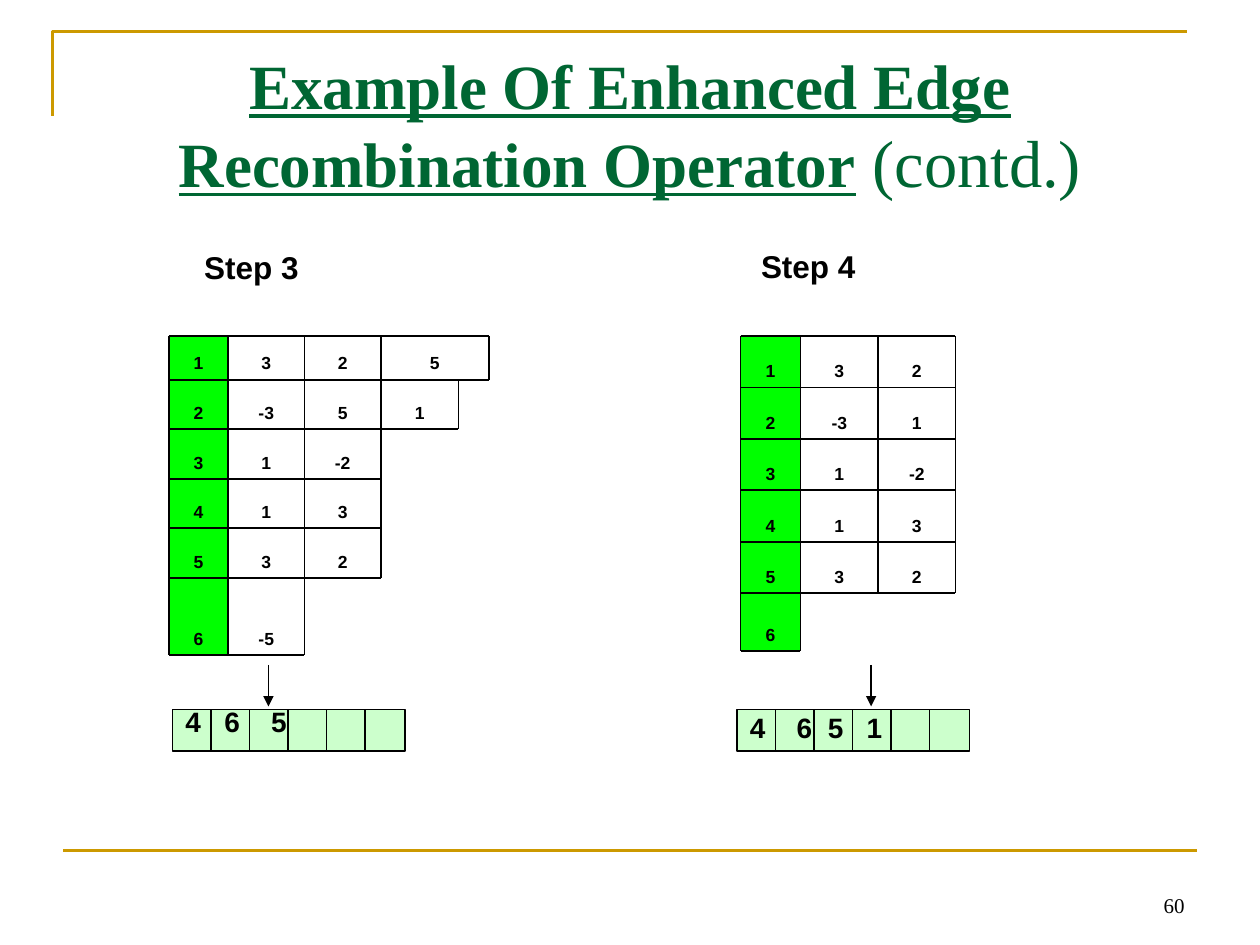
"""Build the slide that shows steps 3 and 4 of enhanced edge recombination."""
from itertools import accumulate

from lxml.etree import SubElement
from pptx import Presentation
from pptx.dml.color import RGBColor
from pptx.enum.shapes import MSO_CONNECTOR, MSO_SHAPE
from pptx.enum.text import MSO_ANCHOR, MSO_AUTO_SIZE, PP_ALIGN
from pptx.oxml.ns import qn
from pptx.util import Pt

COLORS = {"ink": "000000", "title": "006633", "frame": "CC9900",
          "key": "00FF00", "tile": "CCFFCC"}
STEPS = [
    {"label": "Step 3", "label_at": (77.8, 138.2),
     "edges": [96.5, 130.2, 174, 217.6, 262], "first_right": 279.4,
     "heights": [25] + [28.3] * 4 + [44],
     "rows": [["1", "3", "2", "5"], ["2", "-3", "5", "1"], ["3", "1", "-2"],
              ["4", "1", "3"], ["5", "3", "2"], ["6", "-5"]],
     "arrow_x": 153.4, "tiles_x": 98.6,
     "tour": "4\t6\t5", "tour_at": (94.3, 398.9), "tabs": [22.25, 48.95]},
    {"label": "Step 4", "label_at": (396, 137.5),
     "edges": [423.2, 457.4, 501.7, 546], "first_right": 546,
     "heights": [29.4] * 5 + [33],
     "rows": [["1", "3", "2"], ["2", "-3", "1"], ["3", "1", "-2"],
              ["4", "1", "3"], ["5", "3", "2"], ["6"]],
     "arrow_x": 497.8, "tiles_x": 421.2,
     "tour": "4\t6\t5\t1", "tour_at": (416.9, 402.5),
     "tabs": [26.7, 44.5, 66.75]},
]
TABLE_TOP = 192
TILE_COUNT, TILE_PITCH, TILE_WIDTH = 6, 22, 22.8


class SlideBuilder:
    """Hold the style and the current slide."""

    def __init__(self, page):
        """Keep the page to draw on."""
        self.page = page

    def color(self, name):
        """Return a named colour."""
        return RGBColor.from_string(COLORS[name])

    def style(self, span, size, font="Arial", color="ink", bold=True):
        """Format one run."""
        span.font.name, span.font.size, span.font.bold = font, Pt(size), bold
        span.font.color.rgb = self.color(color)

    def title(self, parts):
        """Fill the title from (text, size, emphasis) parts."""
        box = self.page.shapes.title
        box.left, box.top, box.width, box.height = Pt(36), Pt(21.6), Pt(648), Pt(90)
        frame = box.text_frame
        frame.auto_size = MSO_AUTO_SIZE.NONE
        frame.vertical_anchor = MSO_ANCHOR.TOP
        frame.margin_top = Pt(3)
        para = frame.paragraphs[0]
        para.alignment, para.line_spacing = PP_ALIGN.CENTER, Pt(45)
        for text, size, emphasis in parts:
            span = para.add_run()
            span.text = text
            self.style(span, size, "Times New Roman", "title", emphasis)
            span.font.underline = emphasis

    def text(self, words, left, top, width, height, size,
             align=PP_ALIGN.CENTER, anchor=MSO_ANCHOR.TOP, **look):
        """Add a text box and return it."""
        box = self.page.shapes.add_textbox(Pt(left), Pt(top), Pt(width), Pt(height))
        self.fill_text(box, words, size, align, anchor, **look)
        return box

    def fill_text(self, box, words, size, align, anchor, **look):
        """Put one formatted paragraph into a shape."""
        frame = box.text_frame
        frame.word_wrap, frame.vertical_anchor = True, anchor
        para = frame.paragraphs[0]
        para.text, para.alignment = words, align
        for span in para.runs:
            self.style(span, size, **look)

    def rectangle(self, left, top, width, height, fill, outlined=False):
        """Add a filled rectangle and return it."""
        box = self.page.shapes.add_shape(
            MSO_SHAPE.RECTANGLE, Pt(left), Pt(top), Pt(width), Pt(height))
        box.shadow.inherit = False
        box.fill.solid()
        box.fill.fore_color.rgb = self.color(fill)
        if outlined:
            box.line.color.rgb, box.line.width = self.color("ink"), Pt(1)
        else:
            box.line.fill.background()
        return box

    def line(self, x1, y1, x2, y2, color="ink", width=1, arrow=False):
        """Add a straight line, with an arrowhead at its end on request."""
        rule = self.page.shapes.add_connector(
            MSO_CONNECTOR.STRAIGHT, Pt(x1), Pt(y1), Pt(x2), Pt(y2))
        rule.line.color.rgb, rule.line.width = self.color(color), Pt(width)
        properties = rule._element.spPr
        if arrow:
            SubElement(properties.find(qn("a:ln")), qn("a:tailEnd"), type="triangle")
        SubElement(properties, qn("a:effectLst"))

    def corner(self, points):
        """Add the open frame corner."""
        start, *rest = [(Pt(x), Pt(y)) for x, y in points]
        pen = self.page.shapes.build_freeform(*start)
        pen.add_line_segments(rest, close=False)
        outline = pen.convert_to_shape()
        outline.shadow.inherit = False
        outline.fill.background()
        outline.line.color.rgb, outline.line.width = self.color("frame"), Pt(1.5)

    def edge_table(self, rows, edges, first_right, heights):
        """Draw the ragged edge table with its rules."""
        tops = list(accumulate(heights, initial=TABLE_TOP))
        row_edges = [edges[:len(row) + 1] for row in rows]
        row_edges[0] = row_edges[0][:-1] + [first_right]
        for row, sides, top, height in zip(rows, row_edges, tops, heights):
            for column, words in enumerate(row):
                place = (sides[column], top, sides[column + 1] - sides[column], height)
                if column == 0:
                    box = self.rectangle(*place, "key")
                    self.fill_text(box, words, 10, PP_ALIGN.CENTER, MSO_ANCHOR.BOTTOM)
                else:
                    self.text(words, *place, 10, anchor=MSO_ANCHOR.BOTTOM)
        for index, y in enumerate(tops):
            touching = row_edges[max(index - 1, 0):index + 1]
            self.line(edges[0], y, max(sides[-1] for sides in touching), y)
        for x in sorted(set(sum(row_edges, []))):
            used = [index for index, sides in enumerate(row_edges) if x in sides]
            self.line(x, tops[used[0]], x, tops[used[-1] + 1])

    def tour(self, words, left, top, tabs, tiles_x):
        """Draw the tour tiles and the cities chosen so far."""
        for index in range(TILE_COUNT):
            self.rectangle(tiles_x + index * TILE_PITCH, 405.5, TILE_WIDTH, 23.6,
                           "tile", outlined=True)
        box = self.text(words, left, top, 141, 35.3, 16, PP_ALIGN.LEFT)
        box.text_frame.margin_left = Pt(11.65)
        stops = SubElement(box.text_frame.paragraphs[0]._p.get_or_add_pPr(),
                           qn("a:tabLst"))
        for stop in tabs:
            SubElement(stops, qn("a:tab"), pos=str(Pt(stop)), algn="l")

    def step(self, step):
        """Draw one step: label, edge table, arrow and tour."""
        self.text(step["label"], *step["label_at"], 131.8, 28.8, 18)
        self.edge_table(step["rows"], step["edges"], step["first_right"],
                        step["heights"])
        self.tour(step["tour"], *step["tour_at"], step["tabs"], step["tiles_x"])
        self.line(step["arrow_x"], 380, step["arrow_x"], 403.7,
                  width=0.75, arrow=True)


def main():
    """Build and save the deck."""
    deck = Presentation()
    deck.slide_width, deck.slide_height = Pt(720), Pt(540)
    builder = SlideBuilder(deck.slides.add_slide(deck.slide_layouts[5]))
    builder.corner([(30.2, 66.2), (30.2, 18), (678.2, 18)])
    builder.line(36, 486, 684, 486, "frame", 1.5)
    builder.title([("Example Of Enhanced Edge Recombination Operator", 36, True),
                   (" (contd.)", 38, False)])
    for step in STEPS:
        builder.step(step)
    builder.text("60", 516, 492, 168, 36, 12, PP_ALIGN.RIGHT, MSO_ANCHOR.BOTTOM,
                 font="Times New Roman", bold=False)
    deck.save("out.pptx")


if __name__ == "__main__":
    main()
